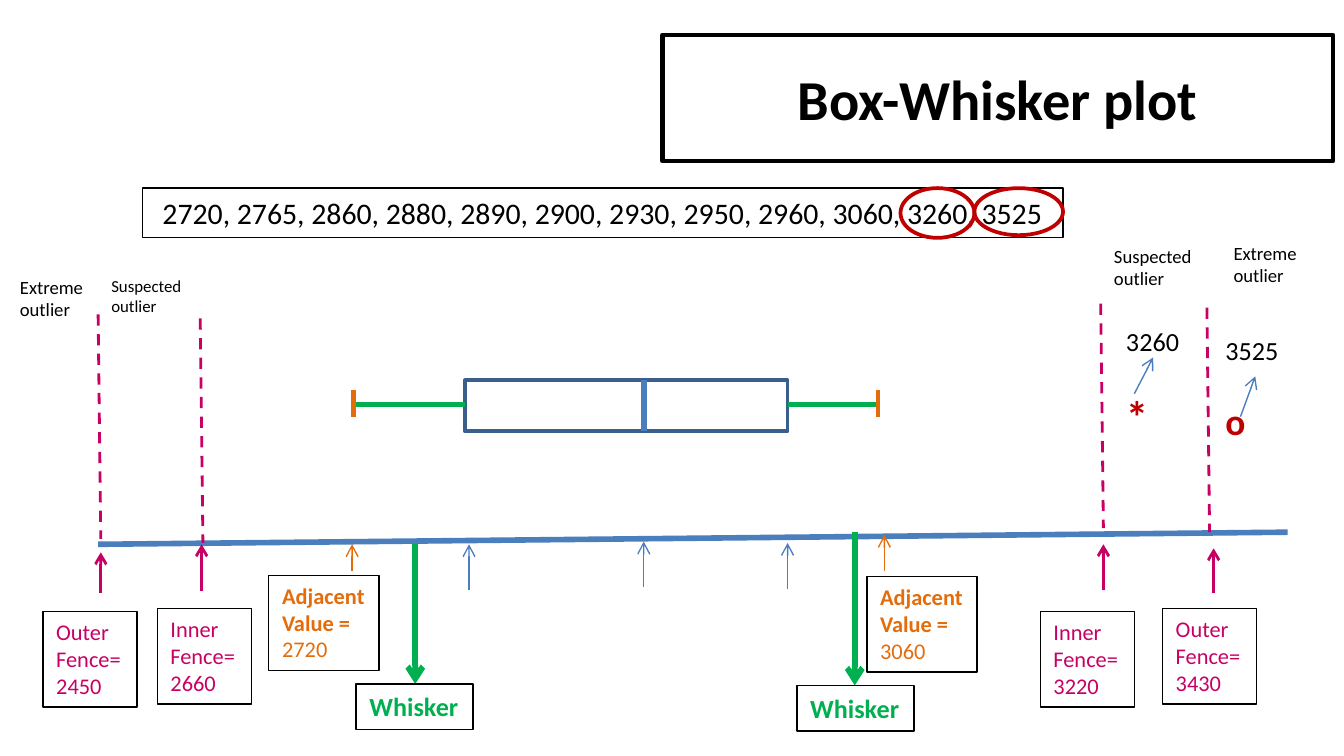
from lxml import etree
from pptx import Presentation
from pptx.dml.color import RGBColor
from pptx.enum.dml import MSO_LINE
from pptx.enum.shapes import MSO_CONNECTOR, MSO_SHAPE
from pptx.enum.text import MSO_ANCHOR, MSO_AUTO_SIZE, PP_ALIGN
from pptx.oxml.ns import qn
from pptx.util import Inches, Pt

STRAIGHT = MSO_CONNECTOR.STRAIGHT
RECTANGLE, OVAL = MSO_SHAPE.RECTANGLE, MSO_SHAPE.OVAL
DASH = MSO_LINE.DASH
MIDDLE, TOP = MSO_ANCHOR.MIDDLE, MSO_ANCHOR.TOP
LEFT, CENTER = PP_ALIGN.LEFT, PP_ALIGN.CENTER
GROW = MSO_AUTO_SIZE.SHAPE_TO_FIT_TEXT

BLACK = RGBColor(0x00, 0x00, 0x00)
BLUE = RGBColor(0x4B, 0x7E, 0xBC)
NAVY = RGBColor(0x3A, 0x5F, 0x8C)
PINK = RGBColor(0xC8, 0x00, 0x64)
GREEN = RGBColor(0x00, 0xB0, 0x50)
ORANGE = RGBColor(0xE4, 0x6C, 0x0A)
RED = RGBColor(0xC0, 0x00, 0x00)

FONT = "Calibri"
WEIGHTS = "2720, 2765, 2860, 2880, 2890, 2900, 2930, 2950, 2960, 3060, 3260, 3525"


def add_line(page, start, end, color, width, arrow=False, dashed=False):
    """Draw a straight line, optionally dashed or with an arrowhead at its end."""
    points = [Inches(value) for value in (*start, *end)]
    line = page.shapes.add_connector(STRAIGHT, *points)
    line.line.color.rgb = color
    line.line.width = Pt(width)
    if dashed:
        line.line.dash_style = DASH
    if arrow:
        etree.SubElement(line.line._get_or_add_ln(), qn("a:tailEnd"), type="arrow")
    etree.SubElement(line._element.spPr, qn("a:effectLst"))


def add_outline(page, box, color, width, kind=RECTANGLE):
    """Draw an unfilled shape with a coloured outline."""
    shape = page.shapes.add_shape(kind, *[Inches(value) for value in box])
    shape.shadow.inherit = False
    shape.fill.background()
    shape.line.color.rgb = color
    shape.line.width = Pt(width)
    return shape


def write(shape, lines, size, color, bold=False, align=LEFT, anchor=TOP, wrap=False):
    """Write one paragraph for each line and return the paragraphs."""
    frame = shape.text_frame
    frame.word_wrap = wrap
    if anchor == TOP:
        frame.auto_size = GROW
    frame.vertical_anchor = anchor
    frame.text = "\n".join(lines)
    for para in frame.paragraphs:
        para.alignment = align
        para.font.name = FONT
        para.font.size = Pt(size)
        para.font.bold = bold
        para.font.color.rgb = color
    return frame.paragraphs


def add_label(page, box, lines, size, color, bold=False, align=LEFT):
    """Add a thinly framed label."""
    return write(add_outline(page, box, BLACK, 0.75), lines, size, color, bold, align)


def add_caption(page, box, lines, size, wrap=False):
    """Add plain black text without a frame."""
    shape = page.shapes.add_textbox(*[Inches(value) for value in box])
    return write(shape, lines, size, BLACK, wrap=wrap)


def add_title(page, box):
    """Add the heavy title frame."""
    frame = add_outline(page, box, BLACK, 2.25)
    write(frame, ["Box-Whisker plot"], 30.2, BLACK, True, CENTER, MIDDLE, True)


def add_data(page, box):
    """Add the data strip and circle its last two values."""
    left, top, width, height = box
    add_label(page, box, [WEIGHTS], 16, BLACK, align=CENTER)
    right = left + width
    add_outline(page, (right - 0.66, top, 0.66, 0.35), RED, 2, OVAL)
    add_outline(page, (right - 1.21, top, 0.55, height), RED, 2, OVAL)


def add_fence(page, box, pointer, label, name, value):
    """Add a dashed fence, the arrow to its place on the axis and its label."""
    left, top, width, height = box
    x, start, end = pointer
    add_line(page, (left, top), (left + width, top + height), PINK, 1.5, dashed=True)
    add_line(page, (x, start), (x, end), PINK, 1.5, arrow=True)
    add_label(page, (*label, 0.7, 0.71), [name, "Fence=", value], 12, PINK)


def add_box_plot(page, box, median, whiskers):
    """Draw the quartile box, its median and the capped whiskers."""
    left, top, width, height = box
    middle = top + 0.18
    add_outline(page, box, NAVY, 2)
    add_line(page, (median, top), (median, top + height), BLUE, 3)
    for edge, tip in zip((left, left + width), whiskers):
        add_line(page, (edge, middle), (tip, middle), GREEN, 3)
        add_line(page, (tip, middle - 0.11), (tip, middle + 0.09), ORANGE, 2.25)


def add_axis(page, start, end, ticks):
    """Draw the number axis and the quartile arrows below it."""
    add_line(page, start, end, BLUE, 3)
    for x, tip in ticks:
        add_line(page, (x, tip + 0.34), (x, tip), BLUE, 0.75, arrow=True)


def add_whisker(page, box, x, top):
    """Add a whisker label and the arrow that leads down to it."""
    add_line(page, (x, top), (x, box[1]), GREEN, 3, arrow=True)
    add_label(page, box, ["Whisker"], 14, GREEN, True)


def add_adjacent(page, box, x, tip, value):
    """Add an adjacent value label and its arrow to the axis."""
    paras = add_label(page, box, ["Adjacent", "Value =", value], 12, ORANGE, True)
    paras[-1].font.bold = False
    add_line(page, (x, 4.25), (x, tip), ORANGE, 0.75, arrow=True)


def add_outlier(page, box, value, mark, size, start, end):
    """Add an outlier value above its mark, joined by an arrow."""
    left, top = box[:2]
    mark_para = add_caption(page, box, [value, mark], 14)[1]
    mark_para.space_before = Pt(17)
    mark_para.font.size = Pt(size)
    mark_para.font.bold = True
    mark_para.font.color.rgb = RED
    add_line(page, (left + start[0], top + start[1]),
             (left + end[0], top + end[1]), BLUE, 0.75, arrow=True)


def build():
    """Build the slide and save the deck."""
    deck = Presentation()
    deck.slide_width = Inches(10)
    deck.slide_height = deck.slide_width * 9 // 16
    page = deck.slides.add_slide(deck.slide_layouts[6])
    add_title(page, (4.93, 0.26, 4.99, 0.94))
    add_data(page, (1.06, 1.4, 6.85, 0.37))
    add_axis(page, (0.73, 4.05), (9.58, 3.96),
             ((3.49, 4.05), (4.79, 4.03), (5.86, 4.04)))
    fences = (
        (0.73, 2.34, (0.75, 4.41, 4.11), (0.32, 4.55), "Outer", "2450"),
        (1.49, 2.37, (1.5, 4.4, 4.05), (1.17, 4.53), "Inner", "2660"),
        (8.19, 2.26, (8.21, 4.39, 4.05), (7.74, 4.55), "Inner", "3220"),
        (8.98, 2.29, (9.03, 4.41, 4.08), (8.65, 4.53), "Outer", "3430"),
    )
    for left, top, *details in fences:
        add_fence(page, (left, top, 0.02, 1.67), *details)
    add_box_plot(page, (3.46, 2.83, 2.4, 0.38), 4.79, (2.63, 6.53))
    add_outlier(page, (8.28, 2.37, 0.6, 0.98), "3260", "*", 24,
                (0.16, 0.56), (0.3, 0.29))
    add_outlier(page, (9.02, 2.44, 0.6, 0.91), "3525", "o", 20,
                (0.21, 0.66), (0.32, 0.36))
    add_whisker(page, (2.65, 5.09, 0.87, 0.34), 3.09, 4.05)
    add_whisker(page, (5.93, 5.1, 0.87, 0.34), 6.36, 3.96)
    add_adjacent(page, (6.45, 4.29, 0.82, 0.71), 6.58, 3.98, "3060")
    add_adjacent(page, (2, 4.28, 0.82, 0.71), 2.62, 4.05, "2720")
    add_caption(page, (8.19, 1.77, 0.79, 0.44), ["Suspected", "outlier"], 10)
    add_caption(page, (0.73, 2, 0.77, 0.4), ["Suspected", "outlier"], 9, True)
    for left, top in ((9.08, 1.75), (0.05, 2)):
        add_caption(page, (left, top, 0.68, 0.44), ["Extreme", "outlier"], 10)
    deck.save("out.pptx")


if __name__ == "__main__":
    build()
